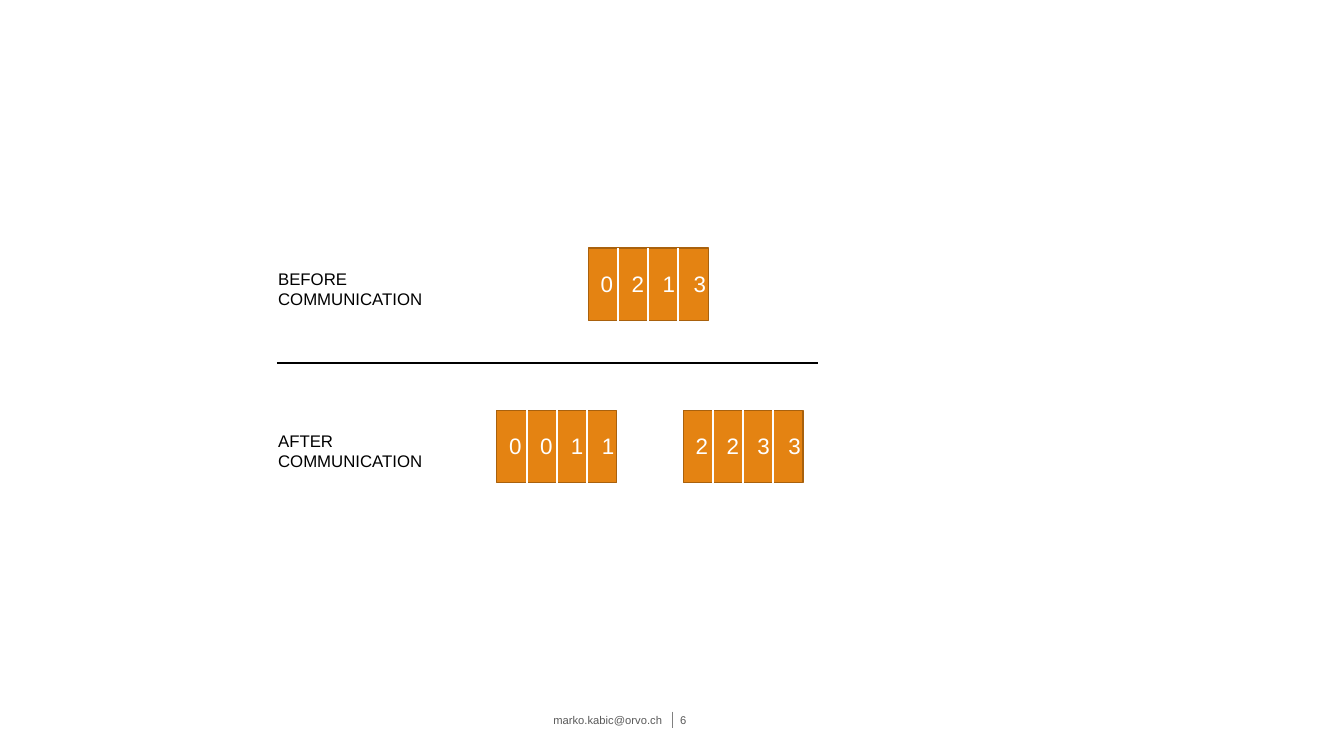
import pptx
import pptx.util
import pptx.dml.color
import pptx.enum.shapes
import pptx.enum.text
import pptx.oxml.ns
import lxml.etree

Cm = pptx.util.Cm
ALIGN = pptx.enum.text.PP_ALIGN
ANCHOR = pptx.enum.text.MSO_ANCHOR

ROWS = [
    ("BEFORE COMMUNICATION", 6.25, [(14.83, "0213")]),
    ("AFTER COMMUNICATION", 10.34, [(12.52, "0011"), (17.22, "2233")]),
]
FOOTER = [
    ("marko.kabic@orvo.ch", 5.46, 11.43, ALIGN.RIGHT, (0, 0.2)),
    ("6", 16.94, 1.07, ALIGN.LEFT, (0.2, 0)),
]
BLOCK_WIDTH, BLOCK_HEIGHT = 3.02, 1.83
DIGIT_STEP = 0.78
FOOTER_TOP, FOOTER_HEIGHT = 17.93, 0.41

deck = pptx.Presentation()
deck.slide_width, deck.slide_height = Cm(33.87), Cm(19.05)
page = deck.slides.add_slide(deck.slide_layouts[6])


def color(value):
    return pptx.dml.color.RGBColor.from_string(value)


def add_line(x1, y1, x2, y2, stroke, width):
    line = page.shapes.add_connector(
        pptx.enum.shapes.MSO_CONNECTOR.STRAIGHT, Cm(x1), Cm(y1), Cm(x2), Cm(y2))
    line.line.color.rgb = color(stroke)
    line.line.width = pptx.util.Pt(width)
    lxml.etree.SubElement(line._element.spPr, pptx.oxml.ns.qn("a:effectLst"))


def add_text(text, left, top, width, height, size, fill, align=ALIGN.LEFT,
             anchor=ANCHOR.TOP, insets=None):
    box = page.shapes.add_textbox(Cm(left), Cm(top), Cm(width), Cm(height))
    frame = box.text_frame
    frame.word_wrap = True
    frame.vertical_anchor = anchor
    if insets:
        frame.margin_left, frame.margin_right = map(Cm, insets)
        frame.margin_top = frame.margin_bottom = 0
    frame.text = text
    para = frame.paragraphs[0]
    para.alignment = align
    span = para.runs[0]
    span.font.name = "Arial"
    span.font.size = pptx.util.Pt(size)
    span.font.color.rgb = color(fill)


def add_block(left, top, digits):
    block = page.shapes.add_shape(
        pptx.enum.shapes.MSO_SHAPE.RECTANGLE,
        Cm(left), Cm(top), Cm(BLOCK_WIDTH), Cm(BLOCK_HEIGHT))
    block.shadow.inherit = False
    block.fill.solid()
    block.fill.fore_color.rgb = color("E48312")
    block.line.color.rgb = color("A9610D")
    block.line.width = pptx.util.Pt(0.85)
    for index in range(1, len(digits)):
        x = left + index * BLOCK_WIDTH / len(digits)
        add_line(x, top, x, top + BLOCK_HEIGHT, "FFFFFF", 1.5)
    for index, digit in enumerate(digits):
        add_text(digit, left + 0.06 + index * DIGIT_STEP, top + 0.43,
                 0.58, 0.94, 16, "FFFFFF", ALIGN.CENTER)


add_line(16.94, FOOTER_TOP, 16.94, FOOTER_TOP + FOOTER_HEIGHT, "808080", 0.75)
for text, left, width, align, insets in FOOTER:
    add_text(text, left, FOOTER_TOP, width, FOOTER_HEIGHT, 8, "595959",
             align, ANCHOR.MIDDLE, insets)

for label, top, blocks in ROWS:
    add_text(label, 6.76, top + 0.39, 4.55, 1.27, 12, "000000")
    for left, digits in blocks:
        add_block(left, top, digits)
add_line(6.98, 9.14, 20.62, 9.14, "000000", 1.5)

deck.save("out.pptx")
